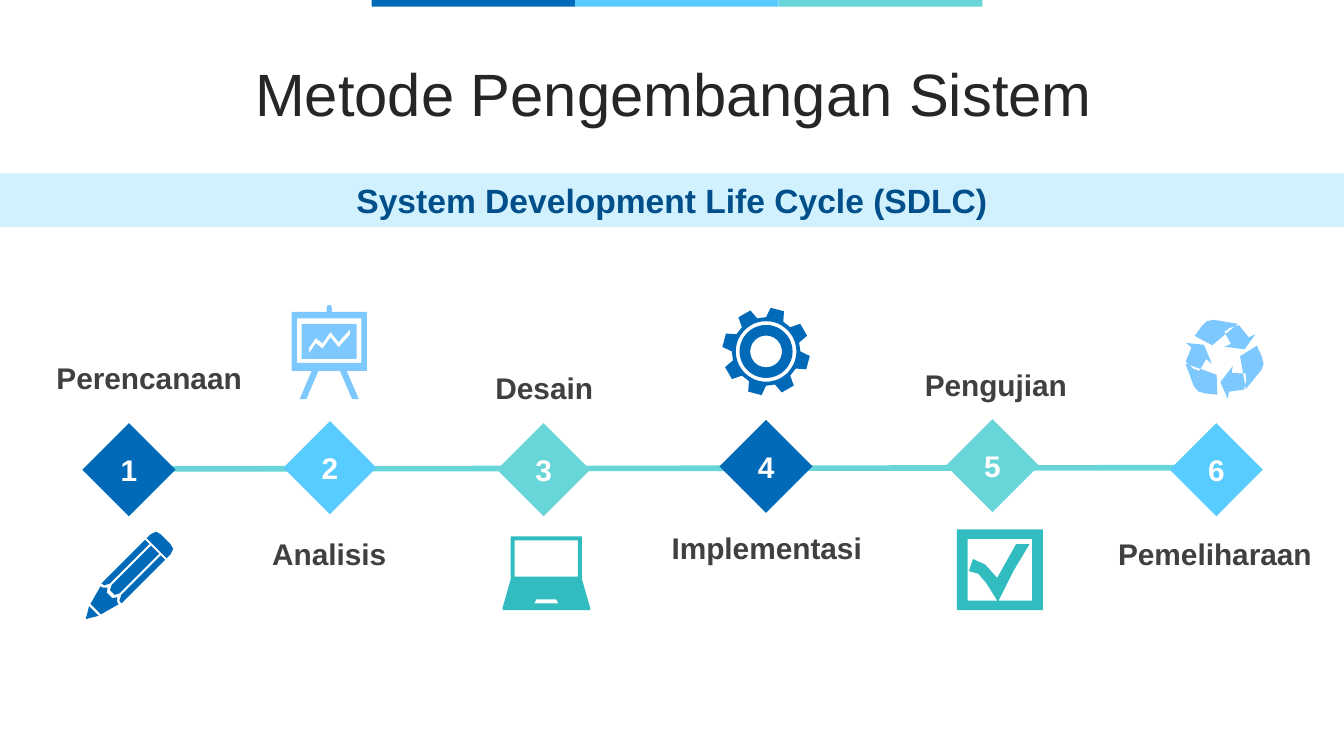
"""Build the six-step system development life cycle slide."""
import math

from lxml import etree
from pptx import Presentation
from pptx import util as u
from pptx.dml.color import RGBColor
from pptx.enum import shapes, text
from pptx.oxml import ns

BLUE = RGBColor(0x00, 0x6A, 0xB8)
SKY = RGBColor(0x58, 0xCC, 0xFE)
AQUA = RGBColor(0x68, 0xD6, 0xD8)
PALE = RGBColor(0x7D, 0xC8, 0xFF)
TEAL = RGBColor(0x31, 0xBC, 0xBF)
NAVY = RGBColor(0x00, 0x4F, 0x8A)
INK = RGBColor(0x26, 0x26, 0x26)
GREY = RGBColor(0x40, 0x40, 0x40)
WHITE = RGBColor(0xFF, 0xFF, 0xFF)

presentation = Presentation()
presentation.slide_width = u.Inches(10)
presentation.slide_height = u.Inches(5.625)
column = row = presentation.slide_width / 1000
slide = presentation.slides.add_slide(presentation.slide_layouts[6])


def add_block(left, top, width, height, fill):
    block = slide.shapes.add_shape(
        shapes.MSO_SHAPE.RECTANGLE,
        round(left * column), round(top * row), round(width * column), round(height * row))
    block.shadow.inherit = False
    block.fill.solid()
    block.fill.fore_color.rgb = fill
    block.line.fill.background()
    return block


def add_text(shape, words, size, color, bold=True, anchor=text.MSO_ANCHOR.MIDDLE):
    frame = shape.text_frame
    frame.word_wrap = True
    frame.vertical_anchor = anchor
    paragraph = frame.paragraphs[0]
    paragraph.alignment = text.PP_ALIGN.CENTER
    run = paragraph.add_run()
    run.text = words
    run.font.name = "Arial"
    run.font.size = u.Pt(size)
    run.font.bold = bold
    run.font.color.rgb = color
    return paragraph


title_box = slide.shapes.add_textbox(
    round(27 * column), round(43 * row), round(949 * column), round(59 * row))
title = add_text(title_box, "Metode Pengembangan Sistem", 32, INK, bold=False)
title.line_spacing = 0.9
title.space_before = u.Pt(7.5)

bar_width = 151.5
for index, color in enumerate((BLUE, SKY, AQUA)):
    add_block(276.5 + index * bar_width, 0, bar_width, 5, color)

band = add_block(0, 129, 1000, 40, SKY)
band_color = band.fill._xPr.find(ns.qn("a:solidFill"))[0]
etree.SubElement(band_color, ns.qn("a:alpha"), val="27000")
add_text(band, "System Development Life Cycle (SDLC)", 18, NAVY)

timeline = slide.shapes.add_connector(
    shapes.MSO_CONNECTOR.STRAIGHT,
    round(69 * column), round(349 * row), round(905 * column), round(348 * row))
timeline.line.color.rgb = AQUA
timeline.line.width = u.Pt(3)
etree.SubElement(timeline.line._get_or_add_ln(), ns.qn("a:tailEnd"), type="arrow")
etree.SubElement(timeline._element.spPr, ns.qn("a:effectLst"))

steps = (
    ("Perencanaan", BLUE, 96, 349.5, 111, 262.5),
    ("Analisis", SKY, 245.5, 348, 245, 394),
    ("Desain", AQUA, 404.5, 349.5, 405, 270),
    ("Implementasi", BLUE, 570, 347, 570.5, 389),
    ("Pengujian", AQUA, 738.5, 346.5, 741, 268),
    ("Pemeliharaan", SKY, 905, 349.5, 904, 394),
)
diamond_side = 49
text_height = 37
for number, (label, color, center, middle, label_center, label_top) in enumerate(steps, 1):
    diamond = add_block(center - diamond_side / 2, middle - diamond_side / 2,
                        diamond_side, diamond_side, color)
    diamond.rotation = 315
    for words, text_center, top, width, text_color, anchor in (
            (str(number), center, middle - text_height / 2, 54, WHITE, text.MSO_ANCHOR.MIDDLE),
            (label, label_center, label_top, 168, GREY, text.MSO_ANCHOR.TOP)):
        box = slide.shapes.add_textbox(
            round((text_center - width / 2) * column), round(top * row),
            round(width * column), round(text_height * row))
        add_text(box, words, 16, text_color, anchor=anchor)

easel_stand = [(1, -35), (2, -33), (2, -30), (28, -30), (28, 14), (13, 14),
               (22, 35), (17, 35), (8, 14)]
easel_window = [(24, -25), (24, 8)]
easel_panel = [(20.5, -21), (20.5, 5)]
trend = [(-15, -1), (-10, -8.5), (-5, -4.5), (1, -13), (7, -5.5), (15.5, -15)]
trend_ribbon = [(x, y - 2) for x, y in trend] + [(x, y + 2) for x, y in reversed(trend)]

laptop_case = [(26.5, -27.5), (26.5, 4.5), (32.5, 25.5), (32.5, 27.5)]
laptop_screen = [(23.5, -24.5), (23.5, 2.5)]
laptop_touchpad = [(7.5, 19.5), (9, 22.5)]

teeth = 8
tooth_corners = ((-15, 25.5), (-9, 32.7), (9, 32.7), (15, 25.5))
gear_outline = [(radius * math.cos(math.radians(angle)), radius * math.sin(math.radians(angle)))
                for tooth in range(teeth)
                for offset, radius in tooth_corners
                for angle in [tooth * 360 / teeth - 75 + offset]]
gear_rings = [[(radius * math.cos(math.radians(angle)), radius * math.sin(math.radians(angle)))
               for angle in range(0, 360, 6)]
              for radius in (22.5, 19.7, 11.8)]

arrow_tail = [(11, -26), (-8, -10), (-21, -17), (-16, -24), (-12, -28), (-7, -29)]
arrow_head = [(24, -18), (16, -7), (1, -9), (6, -11), (1, -20), (5, -23), (12, -25), (19, -16)]
recycling_arrows = [[(x * math.cos(turn) - y * math.sin(turn),
                      x * math.sin(turn) + y * math.cos(turn)) for x, y in part]
                    for turn in (0, math.tau / 3, 2 * math.tau / 3)
                    for part in (arrow_tail, arrow_head)]

checkbox_frame = [(32, -30), (32, 30)]
checkbox_window = [(24, -23), (24, 23)]
check_mark = [(-23, 1), (-16, 3), (-10, 10), (-2, 23), (-1, 23), (10, 1), (22, -19),
              (12, -19), (-2, 6), (-11, -4), (-20, -8)]

pencil_eraser = [(5, -42), (9, -41), (10.5, -37), (10.5, -32.5)]
pencil_middle = [(4.3, -31), (4.3, 10.5), (2.5, 14)]
pencil_sides = [[(side * x, y) for x, y in
                 ((6, -31), (10.5, -31), (10.5, 15), (8, 14.5), (6, 10.5))]
                for side in (-1, 1)]
pencil_wood = [(3, 17), (5, 14), (7.5, 16.5), (9.5, 17), (5.5, 31.5)]
pencil_tip = [(5, 33.5), (0, 42)]

icons = (
    (PALE, 245, 262, 0, [easel_stand, easel_window, easel_panel], [trend_ribbon]),
    (TEAL, 406.5, 426.5, 0, [laptop_case, laptop_screen, laptop_touchpad], []),
    (BLUE, 570, 261.5, 0, [], [gear_outline, *gear_rings]),
    (PALE, 910, 267, 0, [], recycling_arrows),
    (TEAL, 744, 424, 0, [checkbox_frame, checkbox_window], [check_mark]),
    (BLUE, 93.5, 431, 45, [pencil_eraser, pencil_middle, pencil_wood, pencil_tip], pencil_sides),
)
fineness = 10
for color, center, middle, rotation, right_halves, whole_outlines in icons:
    mirrored = [half + [(-x, y) for x, y in reversed(half)] for half in right_halves]
    outlines = [[(x * fineness, y * fineness) for x, y in outline]
                for outline in mirrored + whole_outlines]
    builder = slide.shapes.build_freeform(*outlines[0][0], scale=column / fineness)
    for index, outline in enumerate(outlines):
        if index:
            builder.move_to(*outline[0])
        builder.add_line_segments(outline[1:], close=True)
    icon = builder.convert_to_shape(round(center * column), round(middle * row))
    icon.rotation = rotation
    icon.shadow.inherit = False
    icon.fill.solid()
    icon.fill.fore_color.rgb = color
    icon.line.fill.background()

presentation.save("out.pptx")
